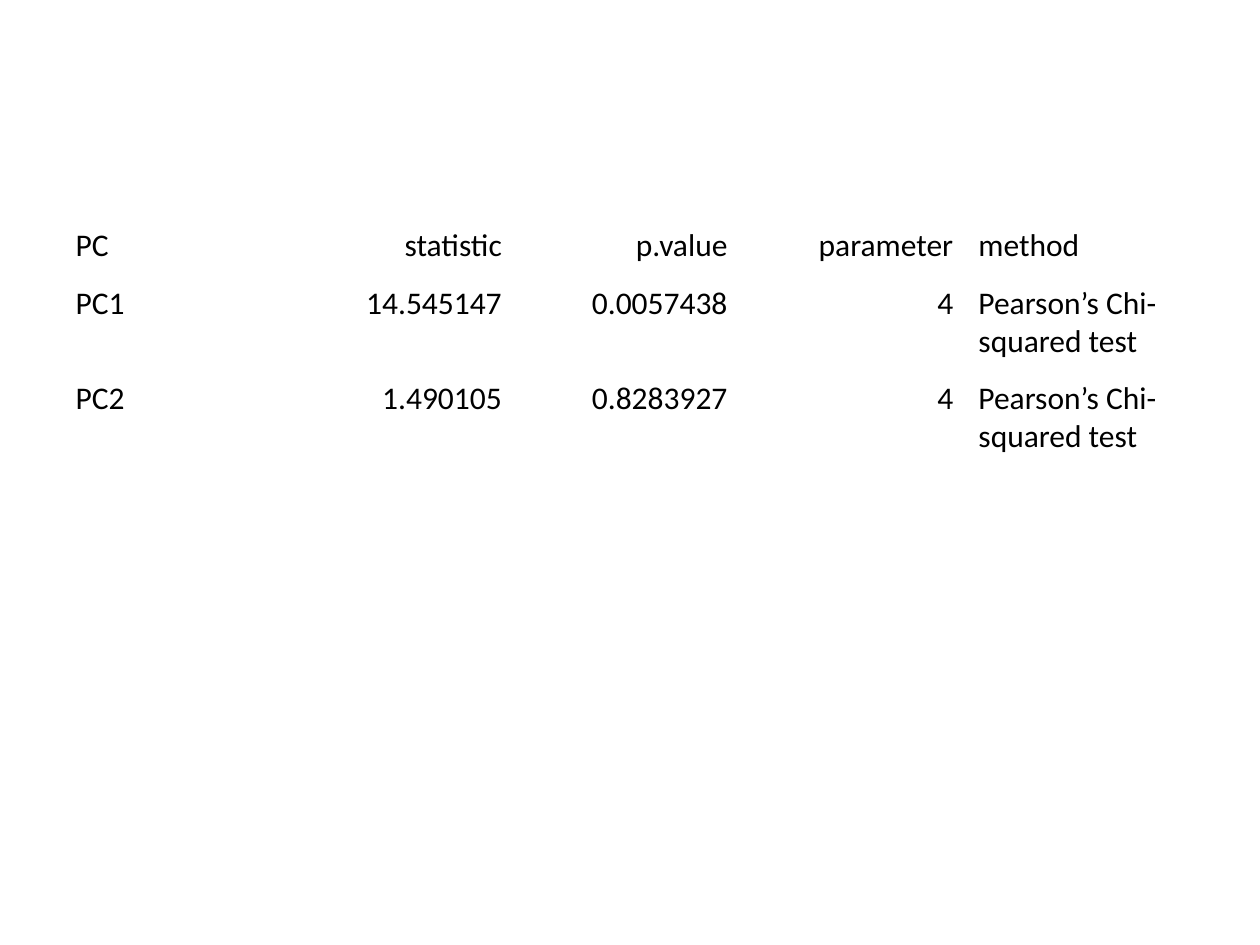
from pptx import Presentation
from pptx import util as u
from pptx.dml import color
from pptx.enum import text

COLORS = {"text": "000000"}
FONT = "Calibri"
METHOD = "Pearson’s Chi-squared test"
ROWS = [
    ("PC", "statistic", "p.value", "parameter", "method"),
    ("PC1", "14.545147", "0.0057438", "4", METHOD),
    ("PC2", "1.490105", "0.8283927", "4", METHOD),
]
LEFT, RIGHT = text.PP_ALIGN.LEFT, text.PP_ALIGN.RIGHT
ALIGNMENTS = [LEFT, RIGHT, RIGHT, RIGHT, LEFT]
ROW_HEIGHTS = [33, 54, 54]
COLUMN_WIDTH = 129

presentation = Presentation()
presentation.slide_width, presentation.slide_height = u.Pt(720), u.Pt(540)
slide = presentation.slides.add_slide(presentation.slide_layouts[6])

table = slide.shapes.add_table(
    len(ROWS), len(ALIGNMENTS), u.Pt(36), u.Pt(126),
    u.Pt(COLUMN_WIDTH * len(ALIGNMENTS)), u.Pt(sum(ROW_HEIGHTS)),
).table
table.first_row = table.horz_banding = False

for column in table.columns:
    column.width = u.Pt(COLUMN_WIDTH)

for row, height, values in zip(table.rows, ROW_HEIGHTS, ROWS):
    row.height = u.Pt(height)
    for cell, value, alignment in zip(row.cells, values, ALIGNMENTS):
        cell.fill.background()
        cell.text = value
        paragraph = cell.text_frame.paragraphs[0]
        paragraph.alignment = alignment
        paragraph.font.name = FONT
        paragraph.font.size = u.Pt(18)
        paragraph.font.color.rgb = color.RGBColor.from_string(COLORS["text"])

table_properties = table._tbl.tblPr
for style in list(table_properties):
    style.text = "{2D5ABB26-0587-4C30-8999-92F81FD0307C}"

presentation.save("out.pptx")
